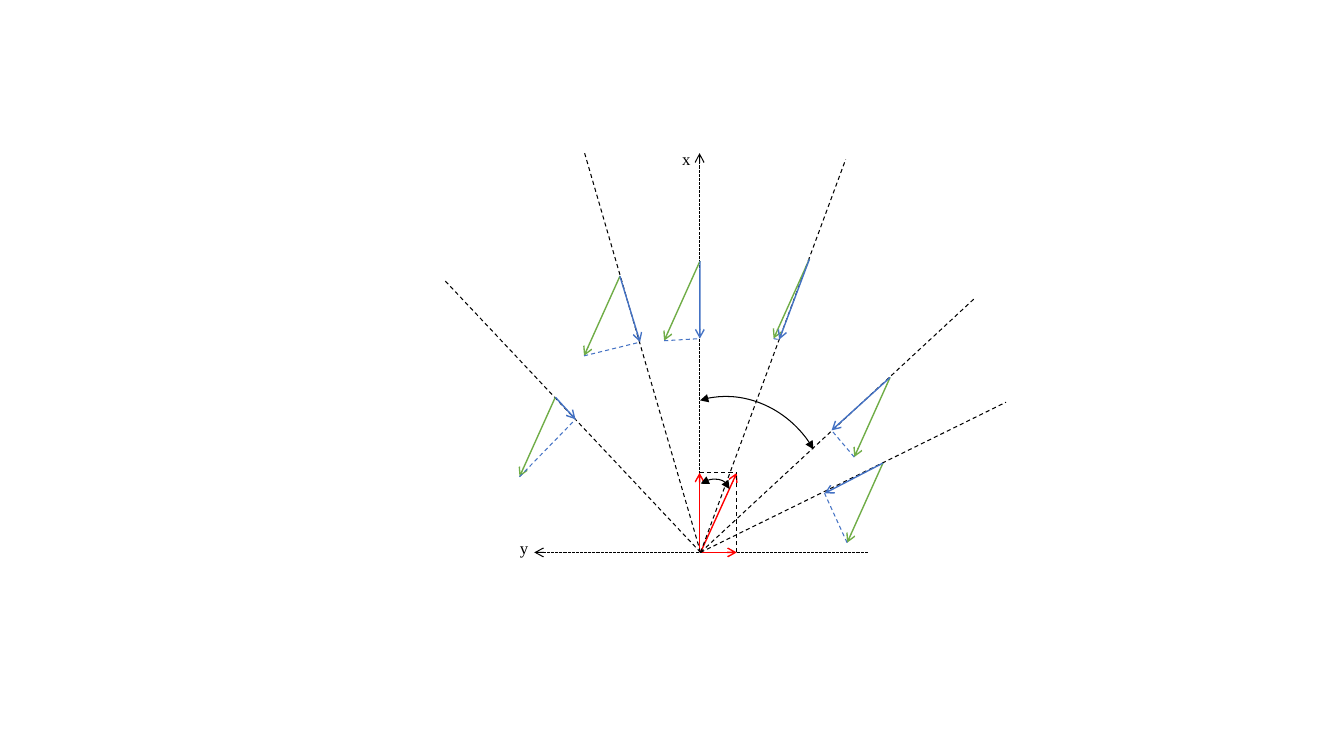
"""Draw target velocities and their radial components as seen by a sensor."""
from dataclasses import dataclass
from typing import Optional

from lxml.etree import SubElement
from pptx import Presentation
from pptx.dml.color import RGBColor
from pptx.enum.dml import MSO_LINE
from pptx.enum.shapes import MSO_CONNECTOR, MSO_SHAPE
from pptx.enum.text import MSO_AUTO_SIZE
from pptx.oxml.ns import qn
from pptx.util import Pt

Point = tuple[float, float]


@dataclass(frozen=True)
class Theme:
    black: RGBColor = RGBColor(0, 0, 0)
    ego: RGBColor = RGBColor(0xFF, 0, 0)
    velocity: RGBColor = RGBColor(0x70, 0xAD, 0x47)
    radial: RGBColor = RGBColor(0x44, 0x72, 0xC4)
    font: str = "Times New Roman"
    size: float = 12
    thin: float = 0.75
    vector: float = 1


@dataclass(frozen=True)
class Target:
    position: Point
    foot: Point

    @property
    def tip(self) -> Point:
        """Return the end of the velocity vector."""
        return self.position[0] + VELOCITY[0], self.position[1] + VELOCITY[1]


@dataclass(frozen=True)
class Angle:
    left: float
    top: float
    width: float
    height: float
    start: float


@dataclass(frozen=True)
class AxisLabel:
    text: str
    left: float
    top: float


THEME = Theme()
BASE_Y = 394.6
AXIS_X = 499.7
ORIGIN = (500.4, BASE_Y)
EGO_TIP = (526.3, 337.7)
VELOCITY = (-25.6, 56.9)
RAY_ENDS = [(604.1, 113.8), (696.2, 213.1), (417.6, 109.4), (316.8, 199.4), (718.6, 287.3)]
TARGETS = [
    Target((396.7, 283.7), (411.1, 299.5)),
    Target((442.8, 197.3), (457.2, 244.4)),
    Target((500, 186.5), (499.9, 241.9)),
    Target((578.2, 185), (556.6, 242.6)),
    Target((635.8, 269.6), (594, 307.4)),
    Target((630.7, 330.8), (589, 352.4)),
]
ANGLES = [Angle(489.6, 344.2, 33.8, 25.2, 170.03), Angle(463.7, 280.1, 123.8, 138.2, 173.58)]
LABELS = [AxisLabel("x", 480.2, 103), AxisLabel("y", 364.3, 380.9)]


def add_ends(sp, kind: str, *ends: str) -> None:
    """Put arrowheads of one kind on the named line ends."""
    ln = sp.element.spPr.find(qn("a:ln"))
    for end in ends:
        SubElement(ln, qn(f"a:{end}")).set("type", kind)


def add_line(s, start: Point, end: Point, color: RGBColor, width: float,
             dash: Optional[MSO_LINE] = None, arrow: bool = False) -> None:
    """Draw a straight line, optionally dashed or with an arrowhead."""
    sp = s.shapes.add_connector(MSO_CONNECTOR.STRAIGHT, *map(Pt, start + end))
    sp.line.color.rgb = color
    sp.line.width = Pt(width)
    if dash is not None:
        sp.line.dash_style = dash
    if arrow:
        add_ends(sp, "arrow", "tailEnd")
    SubElement(sp.element.spPr, qn("a:effectLst"))


def add_vector(s, start: Point, end: Point, color: RGBColor) -> None:
    """Draw a solid vector."""
    add_line(s, start, end, color, THEME.vector, arrow=True)


def add_dashed(s, start: Point, end: Point, color: RGBColor = THEME.black) -> None:
    """Draw a dashed helper line."""
    add_line(s, start, end, color, THEME.thin, MSO_LINE.DASH)


def add_axis(s, start: Point, end: Point) -> None:
    """Draw a finely dashed axis with an arrowhead."""
    add_line(s, start, end, THEME.black, THEME.thin, MSO_LINE.SQUARE_DOT, True)


def add_angle(s, angle: Angle) -> None:
    """Draw a double-headed angle arc."""
    sp = s.shapes.add_shape(MSO_SHAPE.ARC, Pt(angle.left), Pt(angle.top),
                            Pt(angle.width), Pt(angle.height))
    sp.adjustments[0] = angle.start
    sp.adjustments[1] = 8.585
    sp.rotation = 318.7
    sp.fill.background()
    sp.line.color.rgb = THEME.black
    sp.line.width = Pt(THEME.thin)
    add_ends(sp, "triangle", "headEnd", "tailEnd")
    sp.shadow.inherit = False


def add_label(s, label: AxisLabel) -> None:
    """Write the name of an axis."""
    sp = s.shapes.add_textbox(Pt(label.left), Pt(label.top), Pt(25.9), Pt(21.6))
    tf = sp.text_frame
    tf.word_wrap = True
    tf.auto_size = MSO_AUTO_SIZE.SHAPE_TO_FIT_TEXT
    tf.text = label.text
    r = tf.paragraphs[0].runs[0]
    r.font.name = THEME.font
    r.font.size = Pt(THEME.size)
    r.font.color.rgb = THEME.black


def main() -> None:
    """Build and save the slide."""
    prs = Presentation()
    prs.slide_width, prs.slide_height = Pt(960), Pt(540)
    s = prs.slides.add_slide(prs.slide_layouts[6])

    add_axis(s, (AXIS_X, BASE_Y), (AXIS_X, 109.4))
    add_axis(s, (619.9, BASE_Y), (381.6, BASE_Y))
    for label in LABELS:
        add_label(s, label)

    ego_x, ego_y = (AXIS_X, EGO_TIP[1]), (EGO_TIP[0], BASE_Y)
    add_vector(s, ORIGIN, EGO_TIP, THEME.ego)
    add_vector(s, (AXIS_X, BASE_Y), ego_x, THEME.ego)
    add_dashed(s, ego_x, EGO_TIP)
    add_dashed(s, ego_y, EGO_TIP)
    add_vector(s, ORIGIN, ego_y, THEME.ego)

    for end in RAY_ENDS:
        add_dashed(s, ORIGIN, end)
    for target in TARGETS:
        add_vector(s, target.position, target.tip, THEME.velocity)
    for target in TARGETS:
        add_dashed(s, target.tip, target.foot, THEME.radial)
        add_vector(s, target.position, target.foot, THEME.radial)
    for angle in ANGLES:
        add_angle(s, angle)

    prs.save("out.pptx")


if __name__ == "__main__":
    main()
